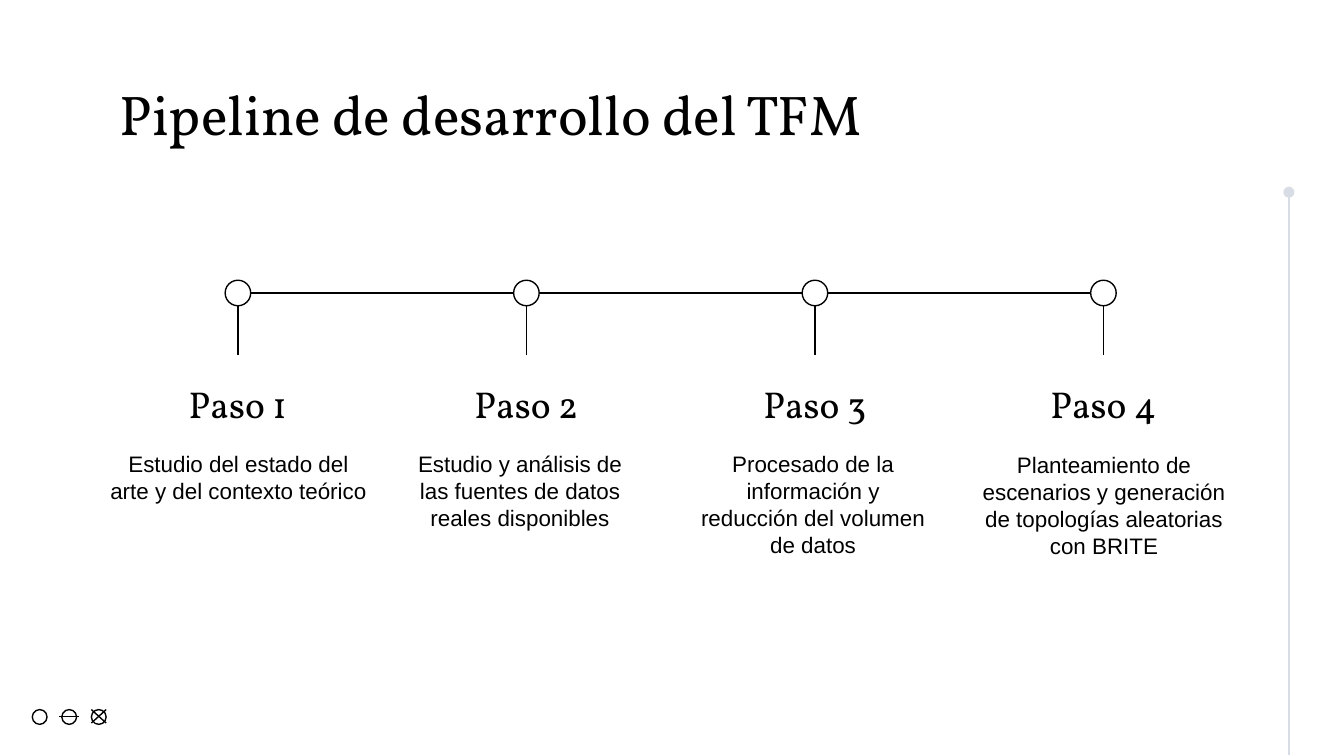
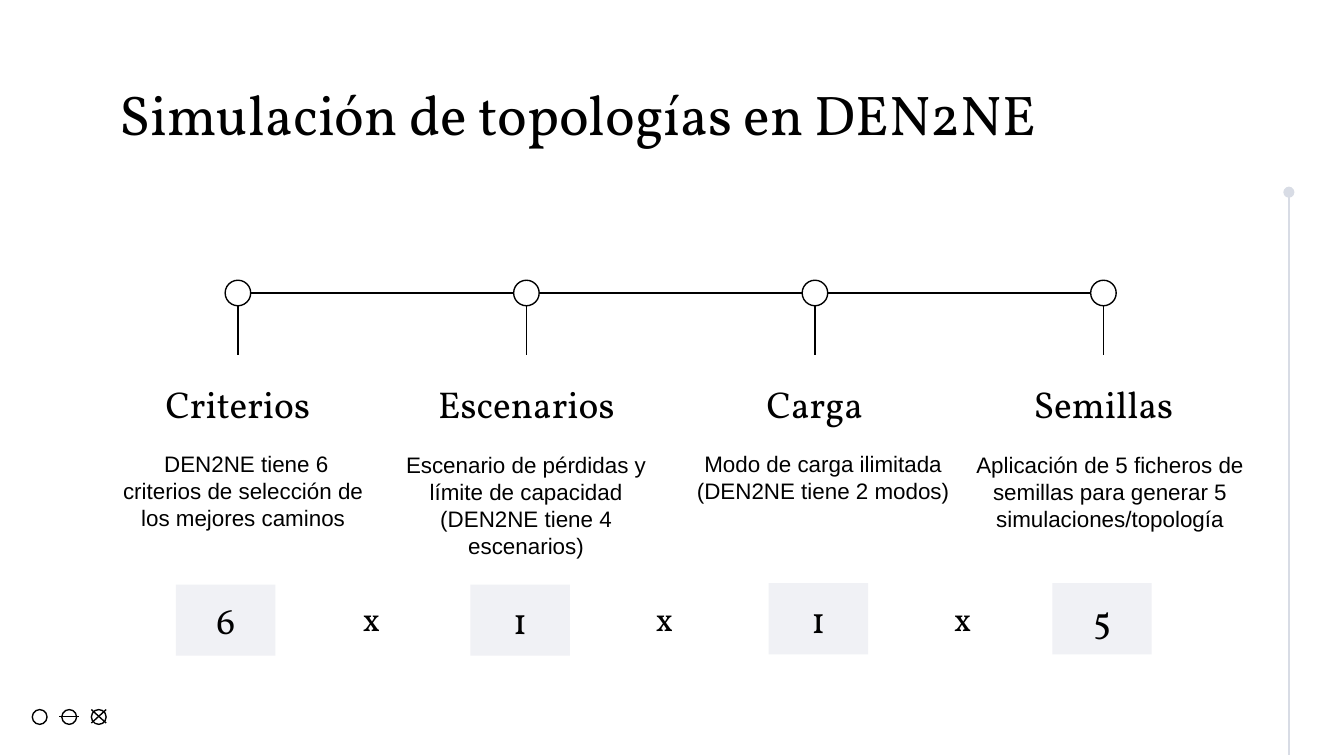
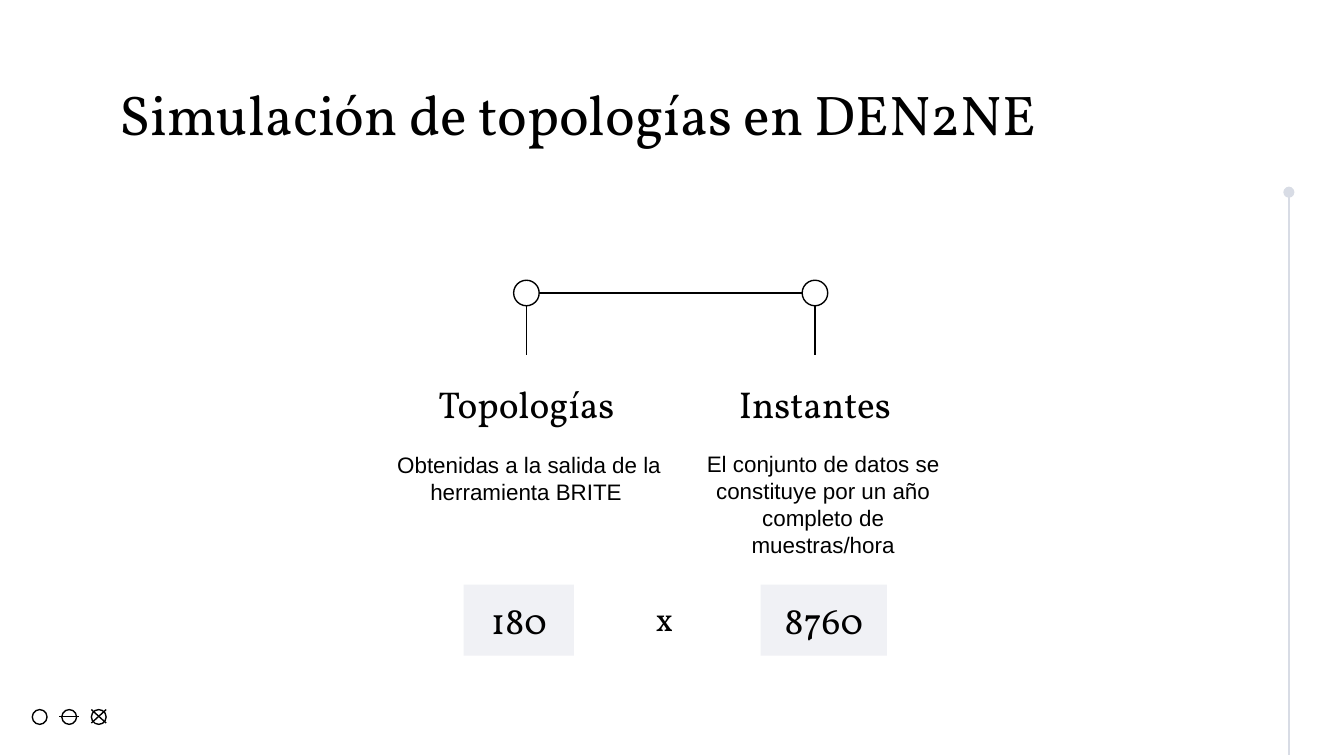
from lxml.etree import SubElement
from pptx import Presentation
from pptx.dml.color import RGBColor
from pptx.enum.shapes import MSO_CONNECTOR as Connector, MSO_SHAPE as Shape
from pptx.enum.text import MSO_ANCHOR as Anchor, MSO_AUTO_SIZE as AutoSize, PP_ALIGN as Align
from pptx.oxml.ns import qn
from pptx.util import Inches, Pt

# Shared colours and text styles
BLACK, WHITE, RAIL, PANEL = "000000", "FFFFFF", "D8DCE5", "F0F1F5"
TITLE = {"font": "Vollkorn", "size": 30, "align": Align.LEFT, "anchor": Anchor.TOP}
HEADING = {"font": "Vollkorn", "size": 20, "align": Align.CENTER, "anchor": Anchor.BOTTOM}
BODY = {"font": "Arial", "size": 12, "align": Align.CENTER, "anchor": Anchor.TOP}
TIMES = {"font": "Vollkorn", "size": 18, "align": Align.LEFT, "anchor": Anchor.TOP,
         "inset": 0.05, "auto_size": AutoSize.SHAPE_TO_FIT_TEXT}

# Timeline geometry: four evenly spaced columns
FIRST_CENTRE, LAST_CENTRE = 1.77, 8.21
COLUMN_PITCH = (LAST_CENTRE - FIRST_CENTRE) / 3
NODE_SIZE, NODE_Y, STEM_END = 0.19, 2.18, 2.64
NODE_RADIUS = NODE_SIZE / 2
HEADING_WIDTH = 1.98
ICON_SIZE, ICON_TOP = 0.11, 5.28

# Steps: column, heading, text, text box (left, top, width, height)
# Factors: number, left, top, width; times signs: left
SLIDES = [
    {
        "title": "Pipeline de desarrollo del TFM",
        "steps": [
            (0, "Paso 1", "Estudio del estado del arte y del contexto teórico",
             (0.7, 3.25, 2.15, 1.26)),
            (1, "Paso 2", "Estudio y análisis de las fuentes de datos reales disponibles",
             (2.93, 3.25, 1.88, 1.26)),
            (2, "Paso 3", "Procesado de la información y reducción del volumen de datos",
             (5.11, 3.25, 1.88, 1.26)),
            (3, "Paso 4", "Planteamiento de escenarios y generación de topologías "
             "aleatorias con BRITE", (7.11, 3.26, 2.21, 1.26)),
        ],
        "factors": [],
        "times": [],
    },
    {
        "title": "Simulación de topologías en DEN2NE",
        "steps": [
            (0, "Criterios", " DEN2NE tiene 6 criterios de selección de los mejores caminos",
             (0.78, 3.25, 2.06, 1.26)),
            (1, "Escenarios", "Escenario de pérdidas y límite de capacidad "
             "(DEN2NE tiene 4 escenarios)", (2.78, 3.26, 2.27, 1.26)),
            (2, "Carga", "Modo de carga ilimitada (DEN2NE tiene 2 modos)",
             (5.03, 3.25, 2.19, 0.56)),
            (3, "Semillas", "Aplicación de 5 ficheros de semillas para generar 5 "
             "simulaciones/topología", (7.08, 3.26, 2.36, 1.26)),
        ],
        "factors": [("6", 1.31, 4.35, 0.74), ("1", 3.5, 4.35, 0.74),
                    ("1", 5.72, 4.34, 0.74), ("5", 7.83, 4.34, 0.74)],
        "times": [2.6, 4.78, 7],
    },
    {
        "title": "Simulación de topologías en DEN2NE",
        "steps": [
            (1, "Topologías", " Obtenidas a la salida de la herramienta BRITE",
             (2.78, 3.26, 2.27, 1.26)),
            (2, "Instantes", "El conjunto de datos se constituye por un año completo de "
             "muestras/hora", (5.03, 3.25, 2.19, 0.56)),
        ],
        "factors": [("180", 3.45, 4.35, 0.82), ("8760", 5.66, 4.35, 0.94)],
        "times": [4.78],
    },
]


def write(shape, text, style):
    frame = shape.text_frame
    frame_format = {
        "word_wrap": True,
        "auto_size": style.get("auto_size", AutoSize.NONE),
        "vertical_anchor": style["anchor"],
        "margin_left": Inches(0.1),
        "margin_right": Inches(0.1),
        "margin_top": Inches(style.get("inset", 0.1)),
        "margin_bottom": Inches(style.get("inset", 0.1)),
    }
    for name, value in frame_format.items():
        setattr(frame, name, value)
    paragraph = frame.paragraphs[0]
    paragraph.text = text
    paragraph.alignment = style["align"]
    font = paragraph.runs[0].font
    for name, value in {"name": style["font"], "size": Pt(style["size"])}.items():
        setattr(font, name, value)
    font.color.rgb = RGBColor.from_string(BLACK)


def add_line(shapes, x1, y1, x2, y2, colour=BLACK):
    line = shapes.add_connector(Connector.STRAIGHT, *map(Inches, (x1, y1, x2, y2)))
    line.line.color.rgb = RGBColor.from_string(colour)
    line.line.width = Pt(0.75)
    SubElement(line._element.spPr, qn("a:effectLst"))
    return line


presentation = Presentation()
presentation.slide_width = Inches(10)
presentation.slide_height = Inches(5.625)

for content in SLIDES:
    slide = presentation.slides.add_slide(presentation.slide_layouts[5])
    shapes = slide.shapes

    # Footer icons: plain, struck through and crossed circle
    icons = shapes.add_group_shape().shapes
    circles = [(icons, left, ICON_TOP, ICON_SIZE, None) for left in (0.24, 0.46, 0.68)]
    add_line(icons, 0.44, 5.33, 0.59, 5.33)
    add_line(icons, 0.68, 5.38, 0.79, 5.28)
    add_line(icons, 0.79, 5.38, 0.68, 5.28)

    # Right rail with a round head
    rail = add_line(shapes, 9.59, 1.43, 9.59, 5.62, RAIL)
    SubElement(rail.line._get_or_add_ln(), qn("a:headEnd"), type="oval")

    # Title
    title = shapes.title
    title_box = {"left": 0.79, "top": 0.49, "width": 8.43, "height": 0.63}
    for name, value in title_box.items():
        setattr(title, name, Inches(value))
    write(title, content["title"], TITLE)

    # Steps with their stems and the links between nodes
    previous_centre = None
    for column, heading, body, body_box in content["steps"]:
        centre = FIRST_CENTRE + column * COLUMN_PITCH
        heading_box = (centre - HEADING_WIDTH / 2, STEM_END, HEADING_WIDTH, 0.63)
        for text, box, style in ((heading, heading_box, HEADING), (body, body_box, BODY)):
            write(shapes.add_textbox(*map(Inches, box)), text, style)
        if previous_centre is not None:
            add_line(shapes, previous_centre + NODE_RADIUS, NODE_Y,
                     centre - NODE_RADIUS, NODE_Y)
        add_line(shapes, centre, NODE_Y + NODE_RADIUS, centre, STEM_END)
        circles.append((shapes, centre - NODE_RADIUS, NODE_Y - NODE_RADIUS, NODE_SIZE, WHITE))
        previous_centre = centre

    # Circles of the footer icons and the timeline nodes
    for container, left, top, size, fill in circles:
        circle = container.add_shape(Shape.OVAL, *map(Inches, (left, top, size, size)))
        circle.shadow.inherit = False
        circle.line.color.rgb = RGBColor.from_string(BLACK)
        circle.line.width = Pt(0.75)
        if fill:
            circle.fill.solid()
            circle.fill.fore_color.rgb = RGBColor.from_string(fill)
        else:
            circle.fill.background()

    # Product of the factors
    for number, left, top, width in content["factors"]:
        panel = shapes.add_shape(Shape.RECTANGLE, *map(Inches, (left, top, width, 0.53)))
        panel.shadow.inherit = False
        panel.fill.solid()
        panel.fill.fore_color.rgb = RGBColor.from_string(PANEL)
        panel.line.fill.background()
        write(panel, number, HEADING)
    for left in content["times"]:
        write(shapes.add_textbox(*map(Inches, (left, 4.4, 0.34, 0.4))), "x", TIMES)

presentation.save("out.pptx")
